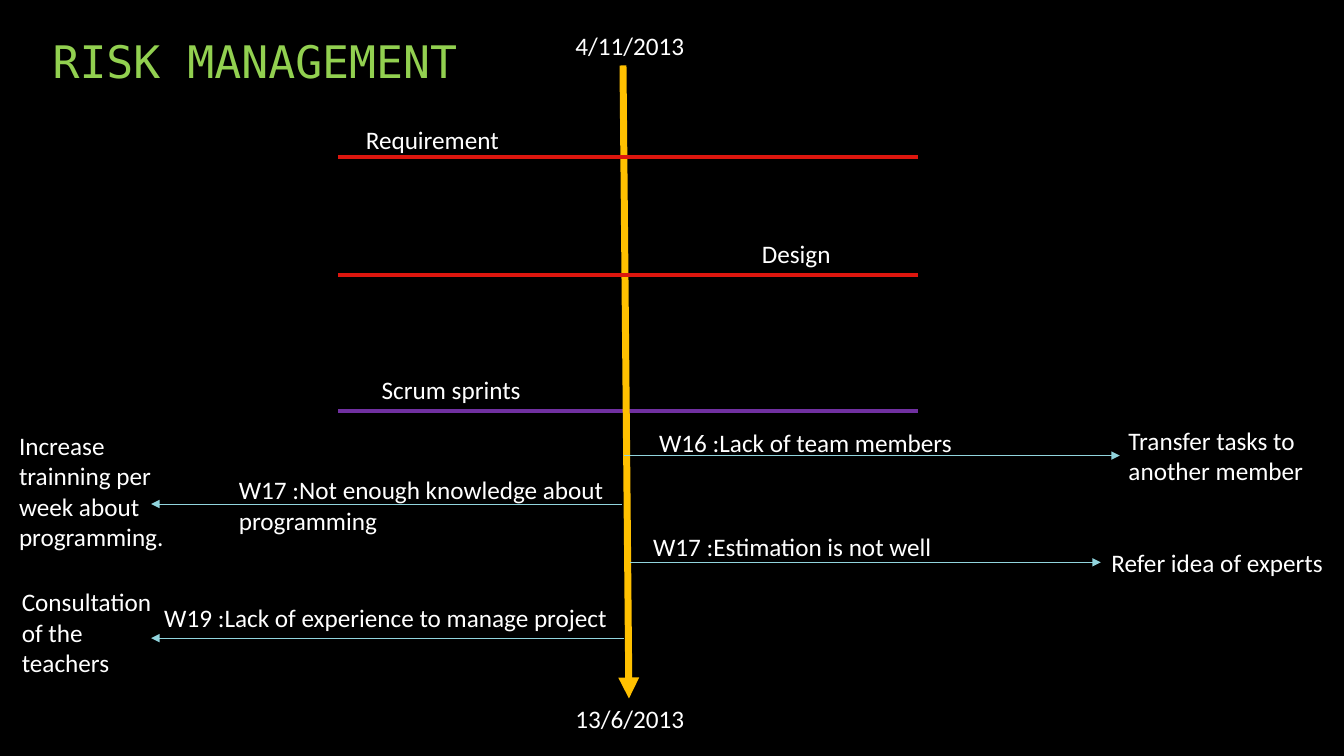
from lxml import etree
from pptx import Presentation
from pptx.dml.color import RGBColor
from pptx.enum.shapes import MSO_CONNECTOR
from pptx.enum.text import MSO_ANCHOR, MSO_AUTO_SIZE, PP_ALIGN
from pptx.oxml.ns import qn
from pptx.util import Cm, Pt

COLORS = {
    "background": "000000", "title": "92D050", "text": "FFFFFF", "axis": "FFC000",
    "phase": "DD160E", "sprint": "7030A0", "risk": "91D4DD",
}

prs = Presentation()
prs.slide_width, prs.slide_height = Cm(33.87), Cm(19.05)
s = prs.slides.add_slide(prs.slide_layouts[5])
s.background.fill.solid()
s.background.fill.fore_color.rgb = RGBColor.from_string(COLORS["background"])


def add_text(text, left, top, width, height=1.02, sp=None, size=18,
             font="Calibri", color="text", anchor=MSO_ANCHOR.TOP, spacing=1.0):
    box = (Cm(left), Cm(top), Cm(width), Cm(height))
    if sp is None:
        sp = s.shapes.add_textbox(*box)
    else:
        sp.left, sp.top, sp.width, sp.height = box
    tf = sp.text_frame
    tf.word_wrap = True
    tf.auto_size = MSO_AUTO_SIZE.NONE
    tf.vertical_anchor = anchor
    p = tf.paragraphs[0]
    p.alignment = PP_ALIGN.LEFT
    p.line_spacing = spacing
    r = p.add_run()
    r.text = text
    r.font.size = Pt(size)
    r.font.name = font
    r.font.color.rgb = RGBColor.from_string(COLORS[color])


def add_line(x1, y1, x2, y2, color, width, arrow=False):
    line = s.shapes.add_connector(MSO_CONNECTOR.STRAIGHT, Cm(x1), Cm(y1), Cm(x2), Cm(y2))
    line.line.color.rgb = RGBColor.from_string(COLORS[color])
    line.line.width = Pt(width)
    if arrow:
        etree.SubElement(line.line._get_or_add_ln(), qn("a:tailEnd"), type="triangle")
    etree.SubElement(line._element.spPr, qn("a:effectLst"))


# Title
add_text("RISK MANAGEMENT", 1.07, -0.84, 25.4, 3.18, sp=s.shapes.title, size=32,
         font="DejaVu Sans Mono", color="title", anchor=MSO_ANCHOR.BOTTOM, spacing=0.9)

# Time axis, in front of the sprint line and behind the phase lines
PHASE_LEFT, PHASE_RIGHT = 8.53, 23.14
add_line(PHASE_LEFT, 10.36, PHASE_RIGHT, 10.36, "sprint", 3)
add_line(15.7, 1.65, 15.85, 17.6, "axis", 5, arrow=True)
for date, top in [("4/11/2013", 0.64), ("13/6/2013", 17.6)]:
    add_text(date, 14.25, top, 4.45)

# Phases
for y in (3.96, 6.93):
    add_line(PHASE_LEFT, y, PHASE_RIGHT, y, "phase", 3)
for phase, left, top, width in [
    ("Requirement", 8.97, 3.0, 4.06),
    ("Design", 18.95, 5.89, 2.36),
    ("Scrum sprints", 9.37, 9.32, 4.19),
]:
    add_text(phase, left, top, width)

# Risks: arrow (start, end, y), risk label and response label with their boxes
risks = [
    ((15.72, 28.22, 11.48),
     ("W16 :Lack of team members", 16.36, 10.64, 8.13),
     ("Transfer tasks to another member", 28.19, 10.59, 5.26, 1.8)),
    ((15.67, 3.81, 12.7),
     ("W17 :Not enough knowledge about programming", 5.77, 11.84, 11.4, 1.8),
     ("Increase trainning per week about programming.", 0.23, 10.72, 4.57, 3.33)),
    ((15.88, 27.74, 14.17),
     ("W17 :Estimation is not well", 16.21, 13.26, 7.67),
     ("Refer idea of experts", 27.76, 13.67, 6.2)),
    ((15.72, 3.81, 16.08),
     ("W19 :Lack of experience to manage project", 3.89, 15.06, 12.14),
     ("Consultation of the teachers", 0.3, 14.66, 4.34, 2.57)),
]
for (start, end, y), risk, response in risks:
    add_line(start, y, end, y, "risk", 0.5, arrow=True)
    add_text(*risk)
    add_text(*response)

prs.save("out.pptx")
